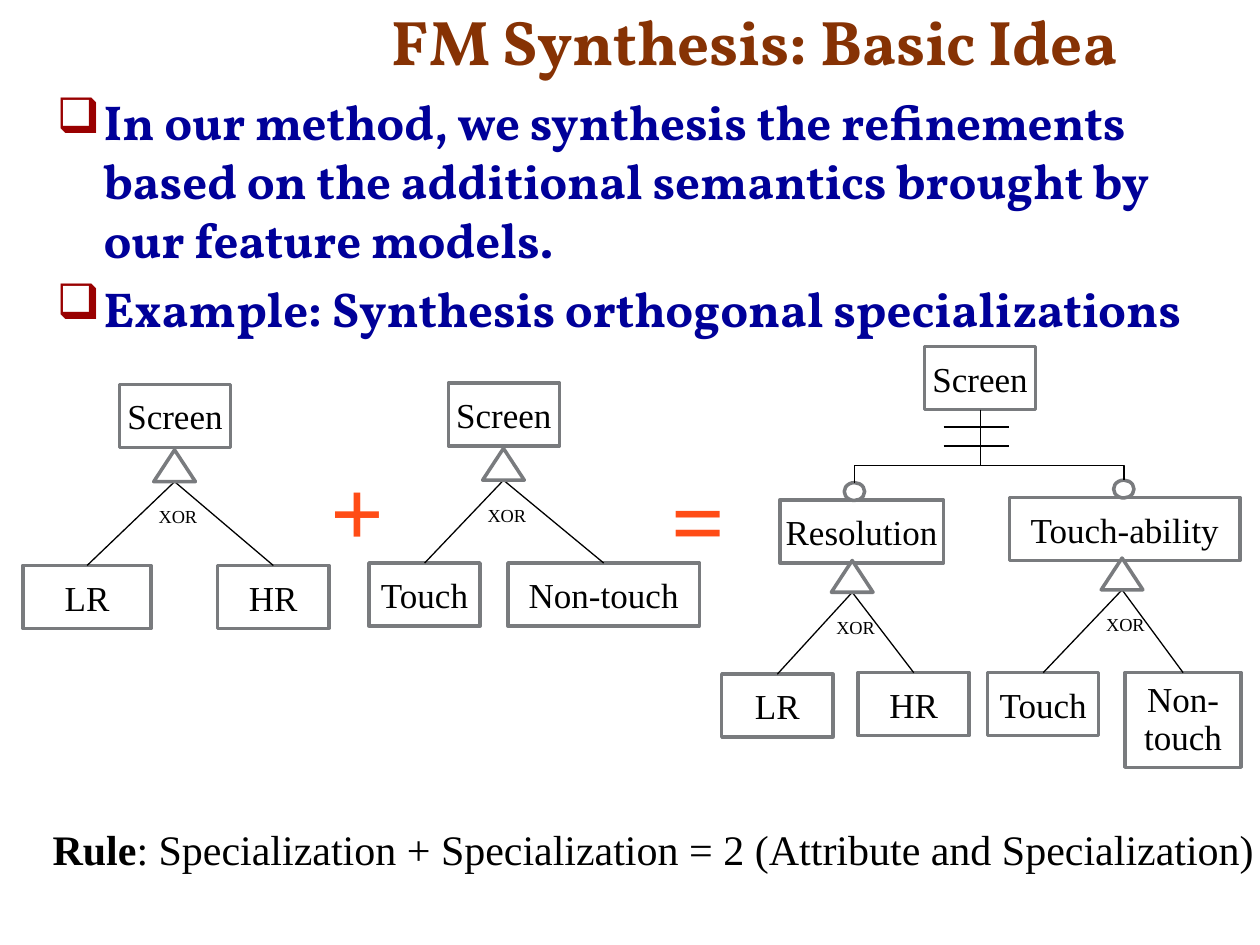
import pptx
import pptx.util
import pptx.dml.color
import pptx.enum.shapes
import pptx.enum.text
import pptx.oxml.ns
from lxml import etree

Cm = pptx.util.Cm
Pt = pptx.util.Pt
RGB = pptx.dml.color.RGBColor
Kind = pptx.enum.shapes.MSO_SHAPE
Wire = pptx.enum.shapes.MSO_CONNECTOR
Align = pptx.enum.text.PP_ALIGN
Anchor = pptx.enum.text.MSO_ANCHOR
Fit = pptx.enum.text.MSO_AUTO_SIZE
qn = pptx.oxml.ns.qn

BROWN = RGB(0x86, 0x32, 0x04)
NAVY = RGB(0x00, 0x00, 0x99)
ORANGE = RGB(0xFF, 0x4C, 0x16)
BLACK = RGB(0, 0, 0)
WHITE = RGB(0xFF, 0xFF, 0xFF)
GRAY = RGB(0x79, 0x7B, 0x7E)
BULLET = "990000"
SERIF = "Times New Roman"
HEAD = "Vollkorn"

TITLE = "FM Synthesis: Basic Idea"
POINTS = [
    "In our method, we synthesis the refinements based on the additional "
    "semantics brought by our feature models.",
    "Example: Synthesis orthogonal specializations",
]
RULE = ("Rule", ": Specialization + Specialization = 2 (Attribute and Specialization)")
SIGNS = [("+", 6.4, 8.99), ("=", 13.28, 9.17)]

WIDE, TALL = 2.24, 1.27
TREES = [
    (("Screen", 2.41, 7.75, WIDE, TALL), (3.1, 9.07),
     [("LR", 0.46, 11.4, 2.59, TALL), ("HR", 4.39, 11.4, WIDE, TALL)]),
    (("Screen", 9.04, 7.72, WIDE, TALL), (9.73, 9.04),
     [("Touch", 7.44, 11.35, WIDE, TALL), ("Non-touch", 10.24, 11.35, 3.86, TALL)]),
    (("Resolution", 15.72, 10.08, 3.3, TALL), (16.76, 11.3),
     [("LR", 14.55, 13.59, WIDE, TALL), ("HR", 17.3, 13.56, WIDE, TALL)]),
    (("Touch-ability", 20.35, 10.03, 4.65, TALL), (22.2, 11.25),
     [("Touch", 19.91, 13.56, WIDE, TALL), ("Non-touch", 22.68, 13.56, 2.34, 1.91)]),
]
ROOT = ("Screen", 18.64, 6.99, WIDE, TALL)
BARS = [8.61, 8.99]
RINGS = [(17.02, 9.73, 0.77), (22.45, 9.68, 0.79)]
TRI_W, TRI_H = 0.84, 0.64
RING_W, RING_H = 0.41, 0.36

deck = pptx.Presentation()
deck.slide_width, deck.slide_height = Cm(25.4), Cm(19.05)
slide = deck.slides.add_slide(deck.slide_layouts[6])
shapes = slide.shapes


def style(para, size, color, face=SERIF, bold=False):
    para.font.size = Pt(size)
    para.font.name = face
    para.font.bold = bold
    para.font.color.rgb = color


def label(x, y, w, h, wrap=False):
    frame = shapes.add_textbox(Cm(x), Cm(y), Cm(w), Cm(h)).text_frame
    frame.word_wrap = wrap
    frame.auto_size = Fit.NONE if wrap else Fit.SHAPE_TO_FIT_TEXT
    return frame


def figure(kind, x, y, w, h):
    shape = shapes.add_shape(kind, Cm(x), Cm(y), Cm(w), Cm(h))
    shape.shadow.inherit = False
    shape.fill.solid()
    shape.fill.fore_color.rgb = WHITE
    shape.line.color.rgb = GRAY
    shape.line.width = Pt(2)
    return shape


def node(text, x, y, w, h):
    shape = figure(Kind.RECTANGLE, x, y, w, h)
    frame = shape.text_frame
    frame.word_wrap = h > TALL
    frame.vertical_anchor = Anchor.MIDDLE
    para = frame.paragraphs[0]
    para.text = text
    para.alignment = Align.CENTER
    if h > TALL:
        para.line_spacing = 0.9
    style(para, 20, BLACK)
    return shape


def wire(x1, y1, x2, y2, kind=Wire.STRAIGHT):
    line = shapes.add_connector(kind, Cm(x1), Cm(y1), Cm(x2), Cm(y2))
    line.line.color.rgb = BLACK
    line.line.width = Pt(0.75)
    etree.SubElement(line._element.spPr, qn("a:effectLst"))
    return line


def elbow(x1, y1, x2, y2, bend):
    mid_x, mid_y = (x1 + x2) / 2, (y1 + y2) / 2
    run, drop = abs(x2 - x1) / 2, (y2 - y1) / 2
    line = wire(mid_x - drop, mid_y - run, mid_x + drop, mid_y + run, Wire.ELBOW)
    props = line._element.spPr
    frame = props.find(qn("a:xfrm"))
    if x2 < x1:
        frame.set("rot", "5400000")
    else:
        frame.set("rot", "16200000")
        frame.set("flipH", "1")
    guide = etree.SubElement(props.find(qn("a:prstGeom")).find(qn("a:avLst")), qn("a:gd"))
    guide.set("name", "adj1")
    guide.set("fmla", f"val {round(bend * 100000)}")


def bullet(para):
    props = para._p.get_or_add_pPr()
    props.set("marL", str(Cm(0.95)))
    props.set("indent", str(-Cm(0.95)))
    tint = etree.SubElement(props, qn("a:buClr"))
    etree.SubElement(tint, qn("a:srgbClr")).set("val", BULLET)
    etree.SubElement(props, qn("a:buChar")).set("char", "❑")


def tree(top, peak, leaves):
    node(*top)
    x, y = peak
    for leaf in leaves:
        box = node(*leaf)
        text, left, high, wide, tall = leaf
        line = wire(x + TRI_W / 2, y + TRI_H, left + wide / 2, high)
        line.end_connect(box, 0)
    figure(Kind.ISOSCELES_TRIANGLE, x, y, TRI_W, TRI_H)
    para = label(x - 0.15, y + 0.99, 1.35, 0.74).paragraphs[0]
    para.text = "XOR"
    style(para, 10.5, BLACK)


frame = label(7.65, -0.08, 17.37, 1.78, True)
frame.vertical_anchor = Anchor.BOTTOM
frame.text = TITLE
style(frame.paragraphs[0], 36, BROWN, HEAD, True)

frame = label(0.89, 1.73, 23.44, 14.78, True)
frame.text = "\n".join(POINTS)
for i, para in enumerate(frame.paragraphs):
    if i:
        para.space_before = Pt(5.6)
    bullet(para)
    style(para, 28, NAVY, HEAD, True)

for sign, x, y in SIGNS:
    para = label(x, y, 1.6, 2.57).paragraphs[0]
    para.text = sign
    para.alignment = Align.CENTER
    style(para, 54, ORANGE, bold=True)

para = label(0.81, 16.48, 24.84, 1.27).paragraphs[0]
style(para, 24, BLACK)
for i, part in enumerate(RULE):
    run = para.add_run()
    run.text = part
    run.font.size = Pt(24)
    run.font.name = SERIF
    run.font.bold = i == 0

for parts in TREES:
    tree(*parts)

node(*ROOT)
for y in BARS:
    wire(19.02, y, 20.35, y)
stem = ROOT[1] + WIDE / 2
for x, y, bend in RINGS:
    figure(Kind.OVAL, x, y, RING_W, RING_H)
    elbow(stem, ROOT[2] + TALL, x + RING_W / 2, y, bend)

deck.save("out.pptx")
